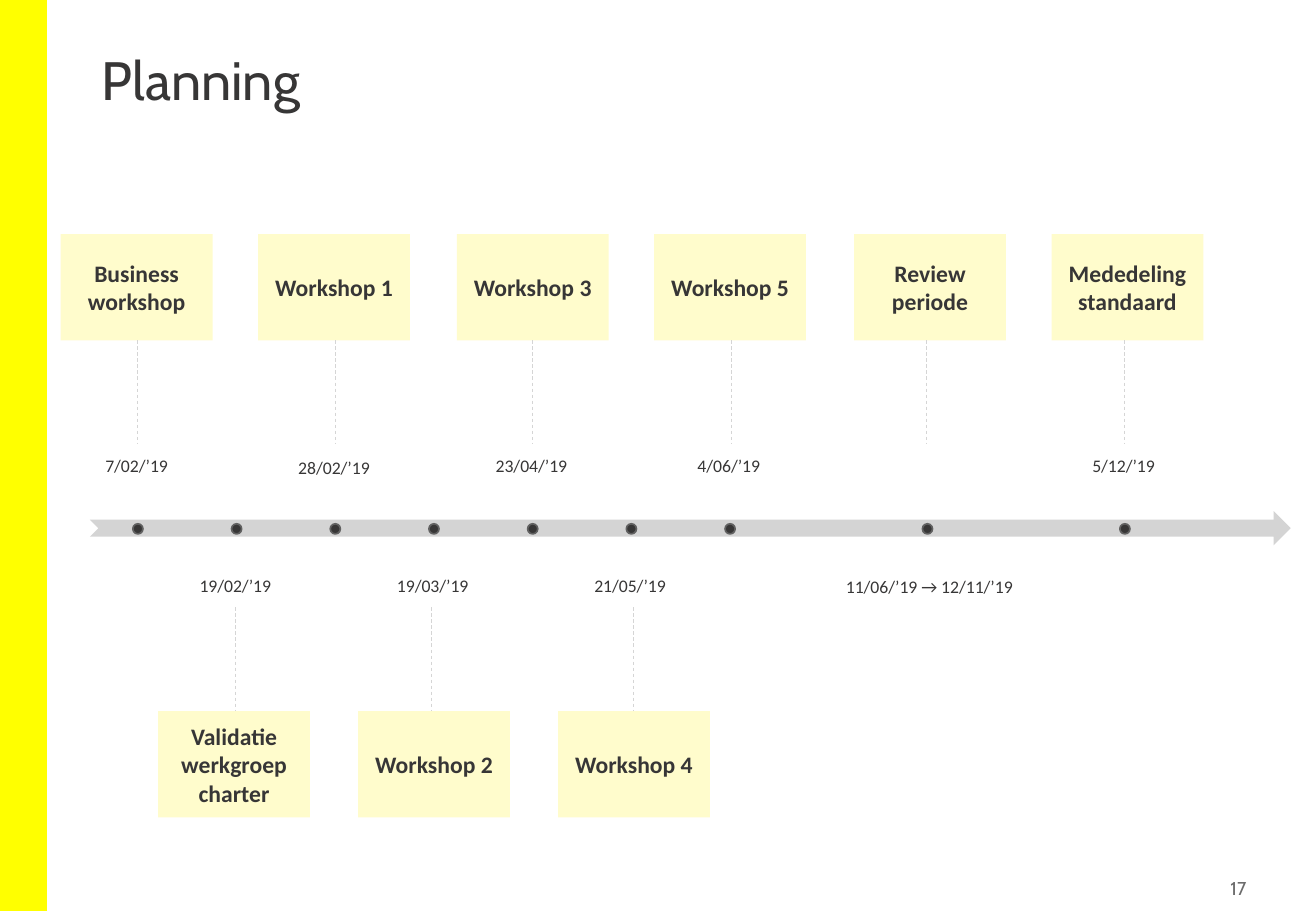
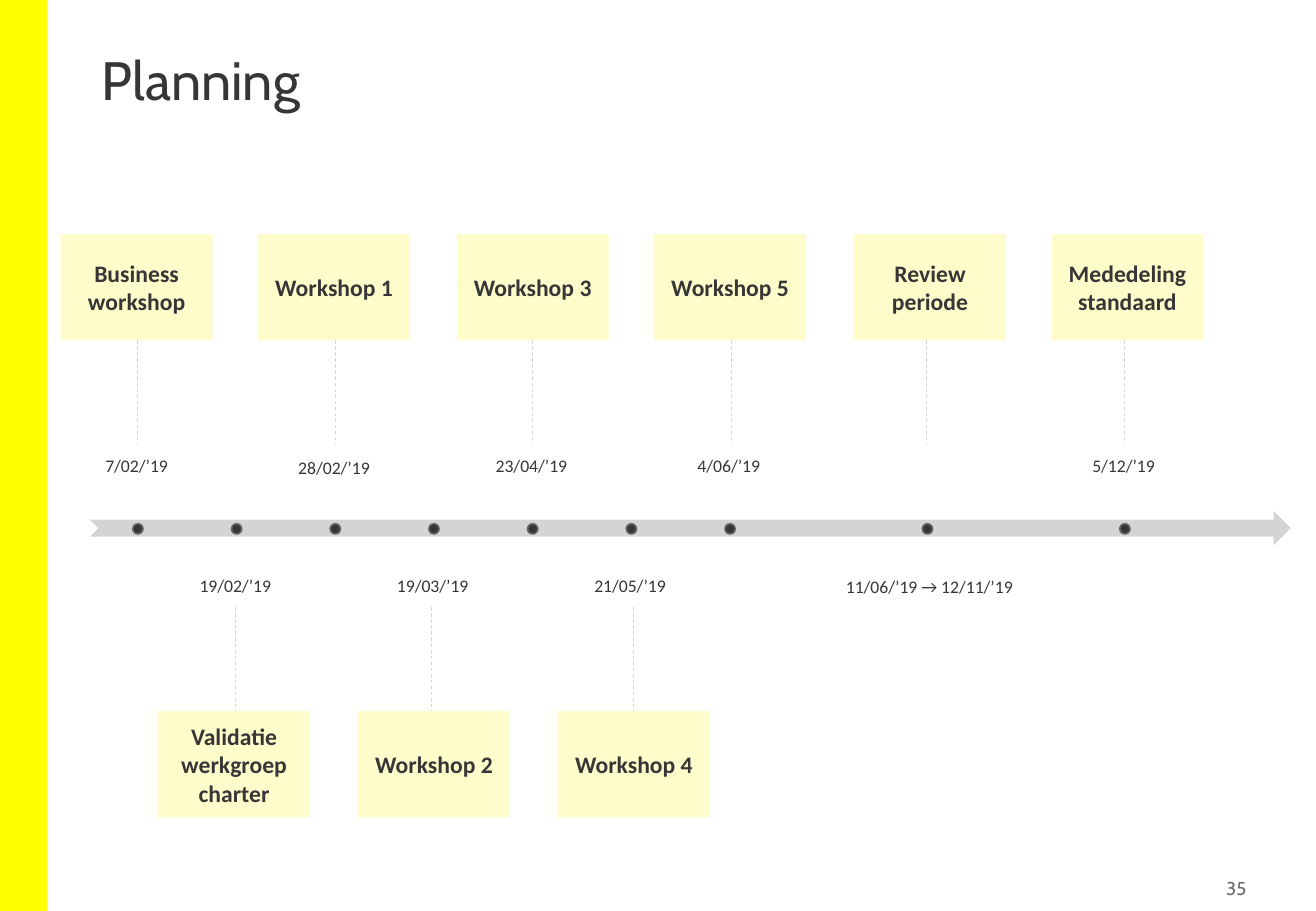
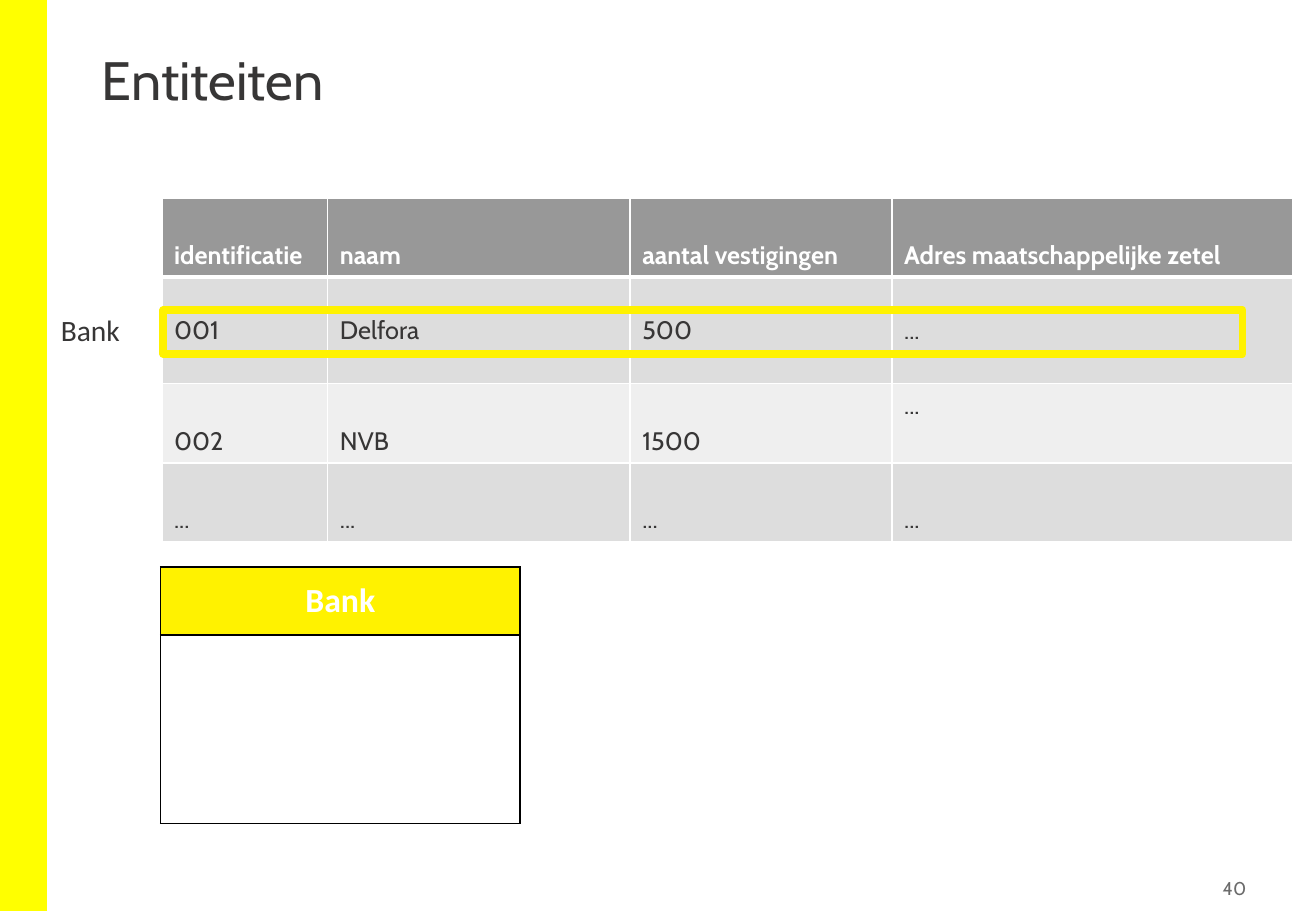
"""Build two planning timelines and one entity slide."""
from dataclasses import dataclass
from typing import Any

from lxml import etree
from pptx import Presentation
from pptx.dml.color import RGBColor
from pptx.enum.dml import MSO_LINE
from pptx.enum.shapes import MSO_CONNECTOR, MSO_SHAPE
from pptx.enum.text import MSO_ANCHOR, PP_ALIGN
from pptx.oxml.ns import qn
from pptx.util import Emu, Pt

RECT, OVAL = MSO_SHAPE.RECTANGLE, MSO_SHAPE.OVAL
ARROW = MSO_SHAPE.NOTCHED_RIGHT_ARROW
STRAIGHT, DASH = MSO_CONNECTOR.STRAIGHT, MSO_LINE.DASH
LEFT, MID, RIGHT = PP_ALIGN.LEFT, PP_ALIGN.CENTER, PP_ALIGN.RIGHT
TOP, CORE, LOW = MSO_ANCHOR.TOP, MSO_ANCHOR.MIDDLE, MSO_ANCHOR.BOTTOM

SCALE = 9525
WIDE, HIGH = 1040, 720
INK, WHITE, BLACK = "373636", "FFFFFF", "000000"
BAND, GOLD, CREAM = "FFFF00", "FFF200", "FFFCCC"
GREY, RING, STEM, FOOT = "D4D4D4", "616161", "D5D5D5", "6B6B6B"
HEAD, DARK, PALE = "989898", "DDDDDD", "EFEFEF"
STEP, DOT = 78, 8

Box = tuple[int, int, int, int]


@dataclass(frozen=True)
class Style:
    """Look of a text."""
    size: float
    color: str = INK
    font: str = "Calibri"
    bold: bool = False
    align: PP_ALIGN = MID
    space: float = 1.0


@dataclass(frozen=True)
class Event:
    """Dot, card and date on the timeline."""
    slot: int
    name: str
    date: str
    card: int
    stem: int
    above: bool = True
    dip: int = 0


@dataclass(frozen=True)
class Row:
    """Table row with its height, fill and text anchors."""
    high: int
    fill: str
    cells: tuple[str, ...]
    style: Style
    anchor: MSO_ANCHOR = LOW
    last: MSO_ANCHOR = LOW
    inset: int = 5
    rule: float = 1


TITLE = Style(32, font="Cabin", align=LEFT, space=0.9)
PAGE = Style(11, FOOT, "Cabin", align=RIGHT)
CARD = Style(14, bold=True)
DATE = Style(10.5, space=0.9)
SPAN = Style(10.5)
LABEL = Style(17.5)
NAMES = Style(15, WHITE, "Cabin", True, LEFT)
DATA = Style(15, font="Cabin", align=LEFT)
ENTITY = Style(20, WHITE, bold=True)

EVENTS = (
    Event(0, "Business\vworkshop", "7/02/’19", 48, 109),
    Event(1, "Validatie werkgroep charter", "19/02/’19", 125, 186, False),
    Event(2, "Workshop 1", "28/02/’19", 204, 265, dip=2),
    Event(3, "Workshop 2", "19/03/’19", 283, 341, False),
    Event(4, "Workshop 3", "23/04/’19", 361, 421),
    Event(5, "Workshop 4", "21/05/’19", 441, 501, False),
    Event(6, "Workshop 5", "4/06/’19", 517, 578),
    Event(8, "Review periode", "", 675, 732),
    Event(10, "Mededeling standaard", "5/12/’19", 831, 889),
)

BANKS = (
    Row(62, HEAD, ("identificatie", "naam", "aantal vestigingen",
                   "Adres maatschappelijke zetel"), NAMES, rule=3),
    Row(84, DARK, ("001", "Delfora", "500", "..."), DATA, CORE, CORE),
    Row(63, PALE, ("002", "NVB", "1500", "..."), DATA, LOW, TOP),
    Row(62, DARK, ("...",) * 4, DATA),
)
MODEL = (
    Row(53, GOLD, ("Bank",), ENTITY, TOP, TOP, 11),
    Row(149, WHITE, ("",), DATA),
)


def px(size: int) -> Emu:
    """Turn pixels into EMU."""
    return Emu(size * SCALE)


def rgb(code: str) -> RGBColor:
    """Turn a hex string into a colour."""
    return RGBColor.from_string(code)


def write(frame: Any, text: str, style: Style) -> None:
    """Fill a text frame and format its runs."""
    frame.text = text
    for para in frame.paragraphs:
        para.alignment = style.align
        para.line_spacing = style.space
        for run in para.runs:
            font = run.font
            font.name, font.size, font.bold = style.font, Pt(style.size), style.bold
            font.color.rgb = rgb(style.color)


def label(slide: Any, box: Box, text: str, style: Style,
          anchor: MSO_ANCHOR = TOP, inset: int | None = None) -> None:
    """Add a wrapped text box."""
    frame = slide.shapes.add_textbox(*map(px, box)).text_frame
    frame.word_wrap = True
    frame.vertical_anchor = anchor
    if inset is not None:
        frame.margin_left = frame.margin_right = px(inset)
        frame.margin_top = frame.margin_bottom = px(inset)
    write(frame, text, style)


def block(slide: Any, kind: MSO_SHAPE, box: Box, fill: str = "",
          line: str = "", weight: float = 1) -> Any:
    """Add a flat preset shape."""
    shape = slide.shapes.add_shape(kind, *map(px, box))
    shape.shadow.inherit = False
    if fill:
        shape.fill.solid()
        shape.fill.fore_color.rgb = rgb(fill)
    else:
        shape.fill.background()
    if line:
        shape.line.color.rgb = rgb(line)
        shape.line.width = Pt(weight)
    else:
        shape.line.fill.background()
    return shape


def stem(slide: Any, left: int, top: int, end: int) -> None:
    """Add a dashed upright line."""
    line = slide.shapes.add_connector(STRAIGHT, *map(px, (left, top, left, end)))
    line.line.color.rgb = rgb(STEM)
    line.line.width = Pt(0.5)
    line.line.dash_style = DASH
    etree.SubElement(line._element.spPr, qn("a:effectLst"))


def edge(cell: Any, color: str, side: str, weight: float) -> None:
    """Draw one border of a cell."""
    props = cell._tc.get_or_add_tcPr()
    line = etree.SubElement(props, qn(f"a:ln{side}"), w=str(Pt(weight)))
    fill = etree.SubElement(line, qn("a:solidFill"))
    etree.SubElement(fill, qn("a:srgbClr"), val=color)


def grid(slide: Any, left: int, top: int, cols: tuple[int, ...],
         rows: tuple[Row, ...], color: str) -> None:
    """Add a table with plain borders."""
    box = left, top, sum(cols), sum(row.high for row in rows)
    table = slide.shapes.add_table(len(rows), len(cols), *map(px, box)).table
    table.first_row = table.horz_banding = False
    for col, width in zip(table.columns, cols):
        col.width = px(width)
    above = 1.0
    for at, row in enumerate(rows):
        table.rows[at].height = px(row.high)
        for place, text in enumerate(row.cells):
            cell = table.cell(at, place)
            for side, weight in zip("LRTB", (1, 1, above, row.rule)):
                edge(cell, color, side, weight)
            cell.fill.solid()
            cell.fill.fore_color.rgb = rgb(row.fill)
            final = place == len(cols) - 1
            cell.vertical_anchor = row.last if final else row.anchor
            cell.margin_top = cell.margin_bottom = px(row.inset)
            write(cell.text_frame, text, row.style)
        above = row.rule


def base(deck: Any, title: str, page: int) -> Any:
    """Add a slide with band, title and page number."""
    slide = deck.slides.add_slide(deck.slide_layouts[6])
    block(slide, RECT, (0, 0, 37, HIGH), BAND)
    label(slide, (71, 38, 897, 104), title, TITLE)
    label(slide, (912, 688, 78, 28), str(page), PAGE, CORE, 5)
    return slide


def plan(deck: Any, page: int) -> None:
    """Add a timeline slide."""
    slide = base(deck, "Planning", page)
    block(slide, ARROW, (71, 404, 949, 27), GREY)
    for event in EVENTS:
        shift = STEP * event.slot
        block(slide, OVAL, (105 + shift, 414, DOT, DOT), INK, RING)
        if event.date:
            top = 175 + event.dip if event.above else 449
            anchor = LOW if event.above else TOP
            label(slide, (71 + shift, top, 74, 209), event.date, DATE, anchor, 8)
        card = block(slide, RECT, (event.card, 185 if event.above else 562, 120, 84), CREAM)
        card.text_frame.word_wrap = True
        card.text_frame.vertical_anchor = CORE
        write(card.text_frame, event.name, CARD)
        start = 269 if event.above else 480
        stem(slide, event.stem, start, start + 82)
    label(slide, (612, 450, 245, 42), "11/06/’19 → 12/11/’19", SPAN)


def bank(deck: Any, page: int) -> None:
    """Add the entity slide."""
    slide = base(deck, "Entiteiten", page)
    grid(slide, 128, 157, (131, 239, 207, 317), BANKS, WHITE)
    block(slide, RECT, (129, 245, 853, 35), line=GOLD, weight=4.5)
    label(slide, (37, 242, 69, 38), "Bank", LABEL)
    grid(slide, 127, 448, (284,), MODEL, BLACK)


def main() -> None:
    """Build and save the deck."""
    deck = Presentation()
    deck.slide_width, deck.slide_height = px(WIDE), px(HIGH)
    for page in (17, 35):
        plan(deck, page)
    bank(deck, 40)
    deck.save("out.pptx")


if __name__ == "__main__":
    main()
